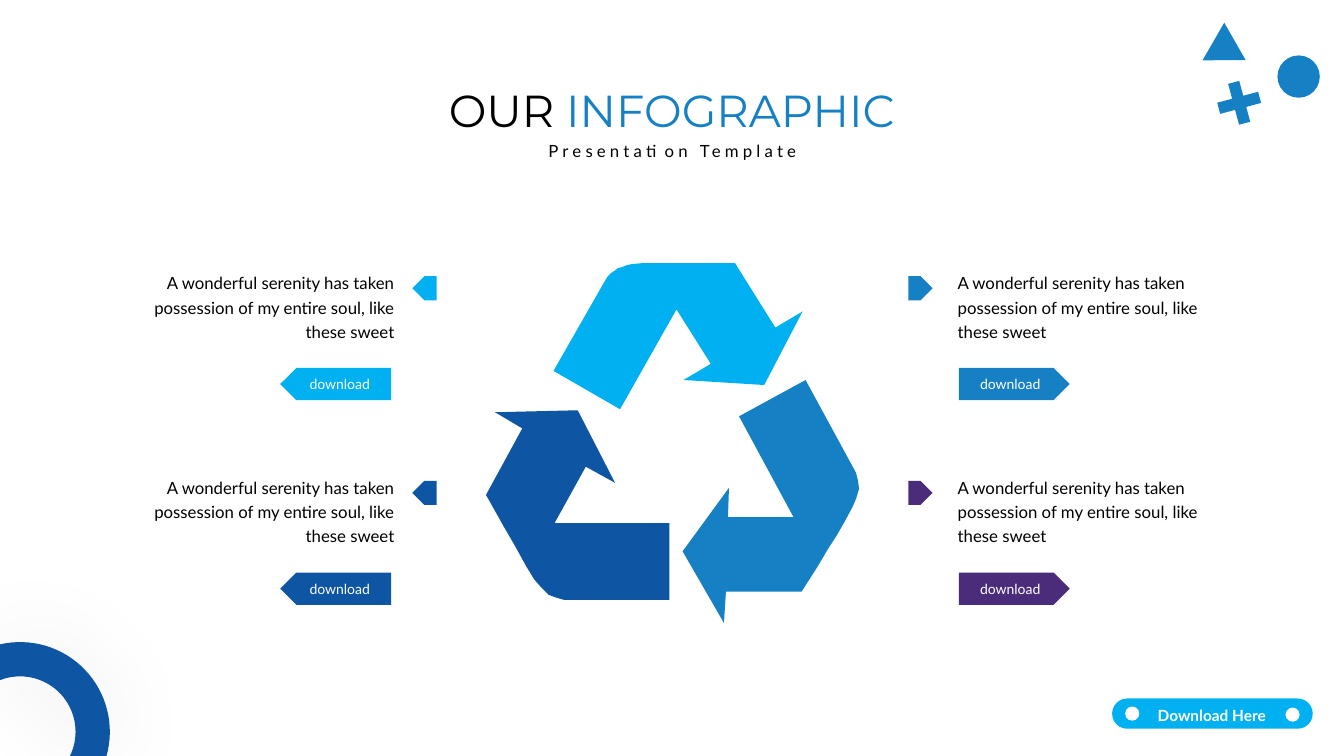
from math import asin, acos, cos, sin, pi
from lxml import etree
from pptx import Presentation
from pptx.dml.color import RGBColor
from pptx.enum.shapes import MSO_SHAPE
from pptx.enum.text import MSO_ANCHOR, MSO_AUTO_SIZE, PP_ALIGN
from pptx.oxml.ns import qn
from pptx.util import Inches, Pt

LEFT, CENTER, RIGHT = PP_ALIGN.LEFT, PP_ALIGN.CENTER, PP_ALIGN.RIGHT
TAG, CIRCLE = MSO_SHAPE.PENTAGON, MSO_SHAPE.OVAL
TRIANGLE, PLUS, PILL = MSO_SHAPE.ISOSCELES_TRIANGLE, MSO_SHAPE.CROSS, MSO_SHAPE.ROUNDED_RECTANGLE

# Content
NAVY, SKY, BLUE, PURPLE = "0E55A3", "00B0F0", "1580C4", "4A2C7B"
BLACK, WHITE = "000000", "FFFFFF"
BLURB = "A wonderful serenity has taken possession of my entire soul, like these sweet"
BUTTON = "download"
TITLE = [("OUR ", BLACK), ("INFOGRAPHIC", BLUE)]
SUBTITLE = [("Presentation Template", BLACK)]
DOWNLOAD = [("Download Here", WHITE)]

# Column positions, with one colour per row
SIDES = [
    dict(blurb=9.4, tip=9.01, button=9.51, align=LEFT, flip=False, colors=[BLUE, PURPLE]),
    dict(blurb=1.42, tip=4.09, button=2.78, align=RIGHT, flip=True, colors=[SKY, NAVY]),
]
ROW_TOP, ROW_PITCH = 2.62, 2.03
TIP_DROP, BUTTON_DROP = 0.12, 1.03

# Outlines of the three cycle arrows
CYCLE = [
    (NAVY, [(5.73, 4.07), (6.1, 4.79), (5.81, 4.63), (5.5, 5.19), (6.64, 5.19), (6.64, 5.95),
            (5.59, 5.95), (5.52, 5.93), (5.44, 5.9), (5.37, 5.83), (5.3, 5.75), (5.22, 5.62),
            (5.11, 5.42), (5, 5.23), (4.91, 5.07), (4.82, 4.91), (5.18, 4.25), (4.91, 4.09)]),
    (SKY, [(7.29, 2.61), (7.69, 3.25), (7.96, 3.09), (7.58, 3.82), (6.78, 3.77), (7.05, 3.61),
           (6.71, 3.07), (6.15, 4.06), (5.49, 3.68), (6.01, 2.77), (6.03, 2.74), (6.06, 2.71),
           (6.09, 2.69), (6.13, 2.66), (6.17, 2.65), (6.22, 2.63), (6.27, 2.62), (6.38, 2.61)]),
    (BLUE, [(7.99, 3.77), (8.49, 4.69), (8.51, 4.77), (8.52, 4.85), (8.49, 4.95), (8.45, 5.04),
            (8.38, 5.17), (8.3, 5.31), (8.21, 5.45), (8.11, 5.62), (8.02, 5.76), (7.95, 5.87),
            (7.2, 5.87), (7.18, 6.18), (6.77, 5.47), (7.23, 4.84), (7.22, 5.13), (7.87, 5.13),
            (7.33, 4.13)]),
]

# Corner decorations: shape, place, rotation
CORNER = [
    (CIRCLE, (12.67, 0.55, 0.42, 0.42), 255),
    (TRIANGLE, (11.98, 0.32, 0.43, 0.37), 300),
    (PLUS, (12.08, 0.81, 0.42, 0.42), 255),
]
RING_X, RING_Y, RING_OUTER, RING_INNER = 0.2, 7.26, 0.89, 0.55
PAGE_WIDTH, PAGE_HEIGHT = 13.33, 7.5

deck = Presentation()
deck.slide_width, deck.slide_height = Inches(PAGE_WIDTH), Inches(PAGE_HEIGHT)
page = deck.slides.add_slide(deck.slide_layouts[6])


def rgb(color):
    return RGBColor.from_string(color)


def paint(shape, color):
    shape.shadow.inherit = False
    shape.fill.solid()
    shape.fill.fore_color.rgb = rgb(color)
    shape.line.fill.background()
    return shape


def add_shape(kind, place, color, rotation=0, flip=None):
    shape = paint(page.shapes.add_shape(kind, *map(Inches, place)), color)
    shape.rotation = rotation
    if flip:
        shape._element.spPr.find(qn("a:xfrm")).set(flip, "1")
    return shape


def add_outline(points, color):
    corners = [(Inches(x), Inches(y)) for x, y in points]
    builder = page.shapes.build_freeform(*corners[0])
    builder.add_line_segments(corners[1:], close=True)
    return paint(builder.convert_to_shape(), color)


def write(shape, spans, size, font="Lato", align=CENTER, spacing=None, bold=None, tracking=None):
    para = shape.text_frame.paragraphs[0]
    para.alignment = align
    if spacing:
        para.line_spacing = spacing
    for text, color in spans:
        span = para.add_run()
        span.text = text
        for name, value in dict(name=font, size=Pt(size), bold=bold).items():
            setattr(span.font, name, value)
        span.font.color.rgb = rgb(color)
        if tracking:
            span.font._element.set("spc", str(tracking * 100))


def add_text(place, spans, size, **style):
    box = page.shapes.add_textbox(*map(Inches, place))
    box.text_frame.word_wrap = True
    box.text_frame.auto_size = MSO_AUTO_SIZE.SHAPE_TO_FIT_TEXT
    write(box, spans, size, **style)


def arc(radius, start, end, steps=32):
    angles = [start + (end - start) * i / steps for i in range(steps + 1)]
    return [(RING_X + radius * cos(a), RING_Y - radius * sin(a)) for a in angles]


def add_glow(shape, blur, opacity):
    effects = shape._element.spPr.find(qn("a:effectLst"))
    shadow = etree.SubElement(effects, qn("a:outerShdw"), blurRad=str(Pt(blur)), dist="0",
                              dir="0", algn="ctr", rotWithShape="0")
    tint = etree.SubElement(shadow, qn("a:srgbClr"), val=BLACK)
    etree.SubElement(tint, qn("a:alpha"), val=str(opacity * 1000))


# Cycle arrows
for color, points in CYCLE:
    add_outline(points, color)

# Text blocks with pointers and buttons
for side in SIDES:
    flip = "flipH" if side["flip"] else None
    for row, color in enumerate(side["colors"]):
        top = ROW_TOP + row * ROW_PITCH
        add_text((side["blurb"], top, 2.59, 0.81), [(BLURB, BLACK)], 12,
                 align=side["align"], spacing=1.2)
        add_shape(TAG, (side["tip"], top + TIP_DROP, 0.24, 0.24), color, flip=flip)
        button = add_shape(TAG, (side["button"], top + BUTTON_DROP, 1.1, 0.32), color, flip=flip)
        button.text_frame.vertical_anchor = MSO_ANCHOR.MIDDLE
        write(button, [(BUTTON, WHITE)], 10)

# Top right decorations
for kind, place, rotation in CORNER:
    ornament = add_shape(kind, place, BLUE, rotation, "flipV")
    if kind == PLUS:
        ornament.adjustments[0] = 0.364

# Heading
add_text((3.78, 0.77, 5.77, 0.64), TITLE, 32, font="Montserrat")
add_text((5.03, 1.31, 3.28, 0.32), SUBTITLE, 12, spacing=1.2, tracking=3)

# Ring cut by the left and bottom page edges
edges = [(-asin((PAGE_HEIGHT - RING_Y) / r), pi - acos(RING_X / r))
         for r in (RING_OUTER, RING_INNER)]
(outer_low, outer_high), (inner_low, inner_high) = edges
ring = add_outline(arc(RING_OUTER, outer_low, outer_high)
                   + arc(RING_INNER, inner_high, inner_low), NAVY)
add_glow(ring, blur=65, opacity=7)

# Download pill
pill = add_shape(PILL, (11.03, 6.93, 1.99, 0.3), SKY)
pill.adjustments[0] = 0.5
for left, top in [(11.16, 7.01), (12.75, 7.02)]:
    add_shape(CIRCLE, (left, top, 0.14, 0.14), WHITE)
add_text((11.3, 6.92, 1.44, 0.3), DOWNLOAD, 11, spacing=1.2, bold=True)

deck.save("out.pptx")
